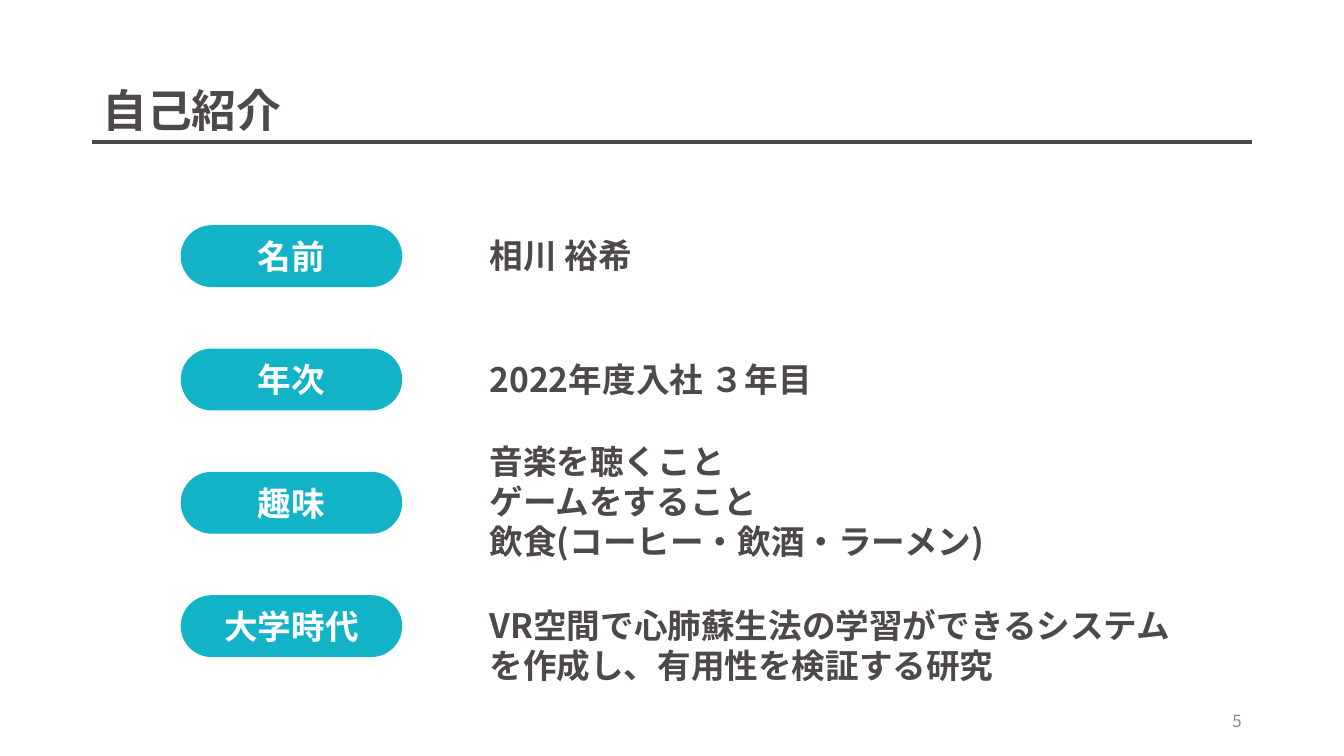
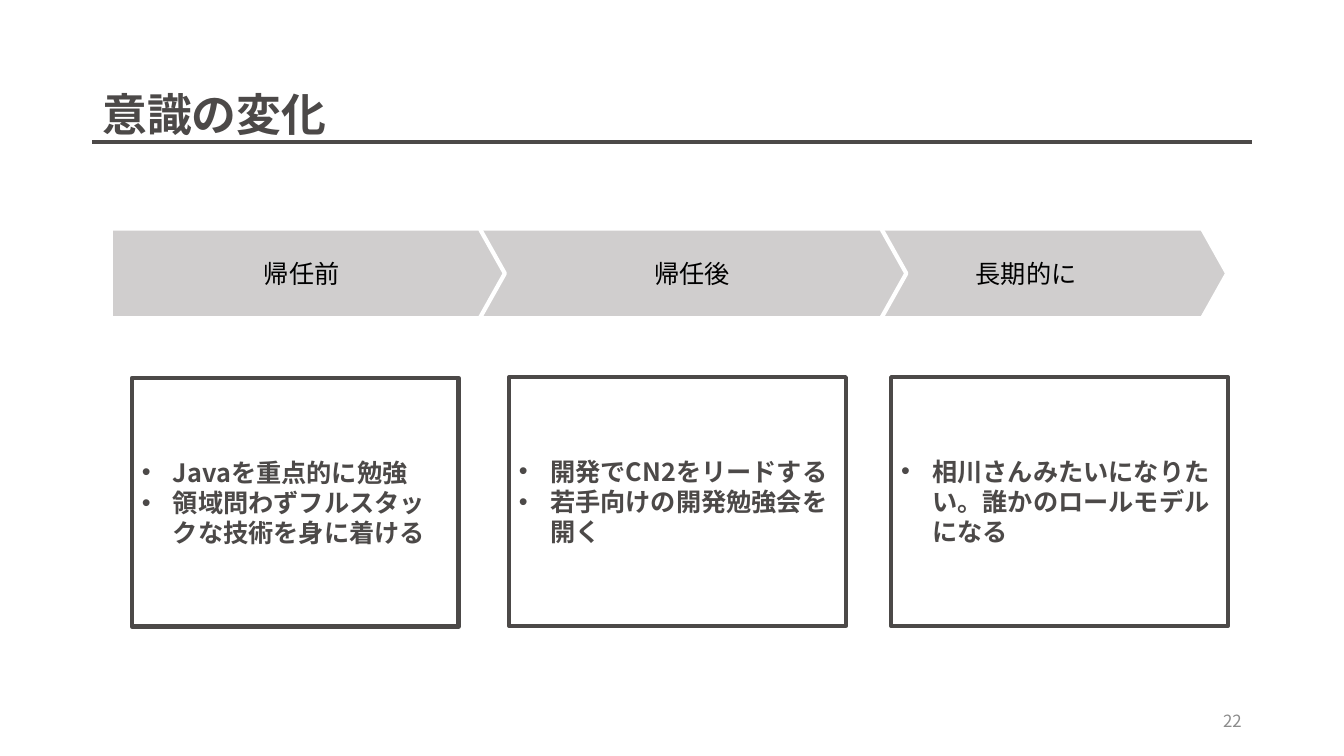
from dataclasses import dataclass

from lxml.etree import SubElement
from pptx import Presentation
from pptx.dml.color import RGBColor
from pptx.enum.lang import MSO_LANGUAGE_ID
from pptx.enum.shapes import MSO_CONNECTOR, MSO_SHAPE
from pptx.enum.text import MSO_ANCHOR, MSO_AUTO_SIZE, PP_ALIGN
from pptx.oxml.ns import qn
from pptx.shapes.autoshape import Shape
from pptx.slide import Slide
from pptx.text.text import TextFrame
from pptx.util import Inches, Length, Pt

# Shared style; the slide is a grid of 160 columns by 90 rows
COLUMNS, ROWS = 160, 90
SLIDE_WIDTH, SLIDE_HEIGHT = Inches(13.333), Inches(7.5)
COLORS = {
    "ink": "4C4948",
    "teal": "12B3C7",
    "gray": "D0CECE",
    "number": "8C8C8C",
    "white": "FFFFFF",
    "black": "000000",
}
BODY_FONT = "Noto Sans CJK JP"
TITLE_FONT = "Arial"
MARGIN, CONTENT_COLUMNS = 11, 138
RULE_ROW = 16.9
BULLET_INDENT = Inches(0.31)


@dataclass(frozen=True)
class Box:
    column: float
    row: float
    width: float
    height: float

    def place(self) -> tuple[Length, Length, Length, Length]:
        return (columns(self.column), rows(self.row),
                columns(self.width), rows(self.height))


@dataclass(frozen=True)
class TextStyle:
    size: float
    color: str
    bold: bool = False
    font: str = BODY_FONT
    align: PP_ALIGN = PP_ALIGN.LEFT
    anchor: MSO_ANCHOR = MSO_ANCHOR.MIDDLE
    line_spacing: float = 1.0
    bulleted: bool = False


@dataclass(frozen=True)
class ProfileRow:
    label: str
    answer: str
    width: float
    height: float
    offset: float = 0.5  # rows from the label's top to the answer's top


@dataclass(frozen=True)
class Stage:
    label: str
    column: float
    width: float
    card: Box
    points: str
    label_inset: float = 1.2  # columns hidden under the stage before


TITLE = TextStyle(32, "ink", True, TITLE_FONT, line_spacing=0.9)
NUMBER = TextStyle(12, "number", align=PP_ALIGN.RIGHT)
LABEL = TextStyle(24, "white", True, align=PP_ALIGN.CENTER)
ANSWER = TextStyle(24, "ink", True, anchor=MSO_ANCHOR.TOP)
STAGE = TextStyle(18, "black", align=PP_ALIGN.CENTER)
POINTS = TextStyle(18, "ink", True, bulleted=True)

PROFILE = [
    ProfileRow("名前", "相川 裕希", 21, 6),
    ProfileRow("年次", "2022年度入社 ３年目", 67.3, 6),
    ProfileRow("趣味", "音楽を聴くこと\nゲームをすること\n飲食(コーヒー・飲酒・ラーメン)",
               67.3, 15.7, -4.4),
    ProfileRow("大学時代",
               "VR空間で心肺蘇生法の学習ができるシステムを作成し、有用性を検証する研究",
               84.5, 10.9),
]
STAGES = [
    Stage("帰任前", 13.2, 46.9, Box(15.7, 45, 38.9, 29.6),
          "Javaを重点的に勉強\n領域問わずフルスタックな技術を身に着ける"),
    Stage("帰任後", 37.3, 70.6, Box(60.6, 44.9, 40.1, 29.6),
          "開発でCN2をリードする\n若手向けの開発勉強会を開く", 22.2),
    Stage("長期的に", 99.7, 46.4, Box(106.1, 44.9, 40.1, 29.6),
          "相川さんみたいになりたい。誰かのロールモデルになる"),
]


def columns(count: float) -> Length:
    return Length(round(SLIDE_WIDTH * count / COLUMNS))


def rows(count: float) -> Length:
    return Length(round(SLIDE_HEIGHT * count / ROWS))


def color(name: str) -> RGBColor:
    return RGBColor.from_string(COLORS[name])


def write(text_frame: TextFrame, text: str, style: TextStyle) -> None:
    text_frame.word_wrap = True
    text_frame.vertical_anchor = style.anchor
    text_frame.text = text
    for paragraph in text_frame.paragraphs:
        paragraph.alignment = style.align
        paragraph.line_spacing = style.line_spacing
        if style.bulleted:
            properties = paragraph._p.get_or_add_pPr()
            properties.set("marL", str(BULLET_INDENT))
            properties.set("indent", str(-BULLET_INDENT))
            SubElement(properties, qn("a:buFont"), typeface="Arial")
            SubElement(properties, qn("a:buChar"), char="•")
        for run in paragraph.runs:
            run.font.size = Pt(style.size)
            run.font.bold = style.bold
            run.font.color.rgb = color(style.color)
            run.font.name = style.font
            run.font.language_id = MSO_LANGUAGE_ID.JAPANESE
            # Japanese glyphs use the body font everywhere
            SubElement(run._r.get_or_add_rPr(), qn("a:ea"), typeface=BODY_FONT)


def add_text(slide: Slide, box: Box, text: str, style: TextStyle) -> Shape:
    shape = slide.shapes.add_textbox(*box.place())
    write(shape.text_frame, text, style)
    return shape


def add_panel(slide: Slide, kind: MSO_SHAPE, box: Box, text: str, style: TextStyle,
              fill: str | None, line: str, line_width: float) -> Shape:
    shape = slide.shapes.add_shape(kind, *box.place())
    shape.shadow.inherit = False
    if fill is None:
        shape.fill.background()
    else:
        shape.fill.solid()
        shape.fill.fore_color.rgb = color(fill)
    shape.line.color.rgb = color(line)
    shape.line.width = Pt(line_width)
    write(shape.text_frame, text, style)
    return shape


def add_framed_slide(presentation: Presentation, title: str, title_row: float,
                     number: int) -> Slide:
    """Blank slide with the shared rule, title and page number."""
    slide = presentation.slides.add_slide(presentation.slide_layouts[6])
    rule = slide.shapes.add_connector(
        MSO_CONNECTOR.STRAIGHT, columns(MARGIN), rows(RULE_ROW),
        columns(MARGIN + CONTENT_COLUMNS), rows(RULE_ROW))
    rule.line.color.rgb = color("ink")
    rule.line.width = Pt(3)
    SubElement(rule._element.spPr, qn("a:effectLst"))
    add_text(slide, Box(MARGIN, title_row, CONTENT_COLUMNS, 17.4), title, TITLE)
    add_text(slide, Box(113, 83.4, 36, 4.8), str(number), NUMBER)
    return slide


def add_profile(slide: Slide) -> None:
    first_row, pitch = 26.9, 14.68
    for index, item in enumerate(PROFILE):
        top = first_row + index * pitch
        pill = add_panel(slide, MSO_SHAPE.ROUNDED_RECTANGLE, Box(21.6, top, 26.2, 7.2),
                         item.label, LABEL, "teal", "teal", 1)
        pill.adjustments[0] = 0.5
        answer = add_text(slide, Box(57.1, top + item.offset, item.width, item.height),
                          item.answer, ANSWER)
        answer.text_frame.auto_size = MSO_AUTO_SIZE.SHAPE_TO_FIT_TEXT


def add_stages(slide: Slide) -> None:
    # Arrows overlap, so the last one lies at the back
    for stage in reversed(STAGES):
        arrow = add_panel(slide, MSO_SHAPE.PENTAGON,
                          Box(stage.column, 27.2, stage.width, 10.7),
                          stage.label, STAGE, "gray", "white", 3)
        arrow.adjustments[0] = 0.28
        arrow.text_frame.margin_left = columns(stage.label_inset)
    for stage in STAGES:
        add_panel(slide, MSO_SHAPE.RECTANGLE, stage.card, stage.points, POINTS,
                  None, "ink", 3)


def main() -> None:
    presentation = Presentation()
    presentation.slide_width = SLIDE_WIDTH
    presentation.slide_height = SLIDE_HEIGHT
    add_profile(add_framed_slide(presentation, "自己紹介", 4.8, 5))
    add_stages(add_framed_slide(presentation, "意識の変化", 5.2, 22))
    presentation.save("out.pptx")


if __name__ == "__main__":
    main()
